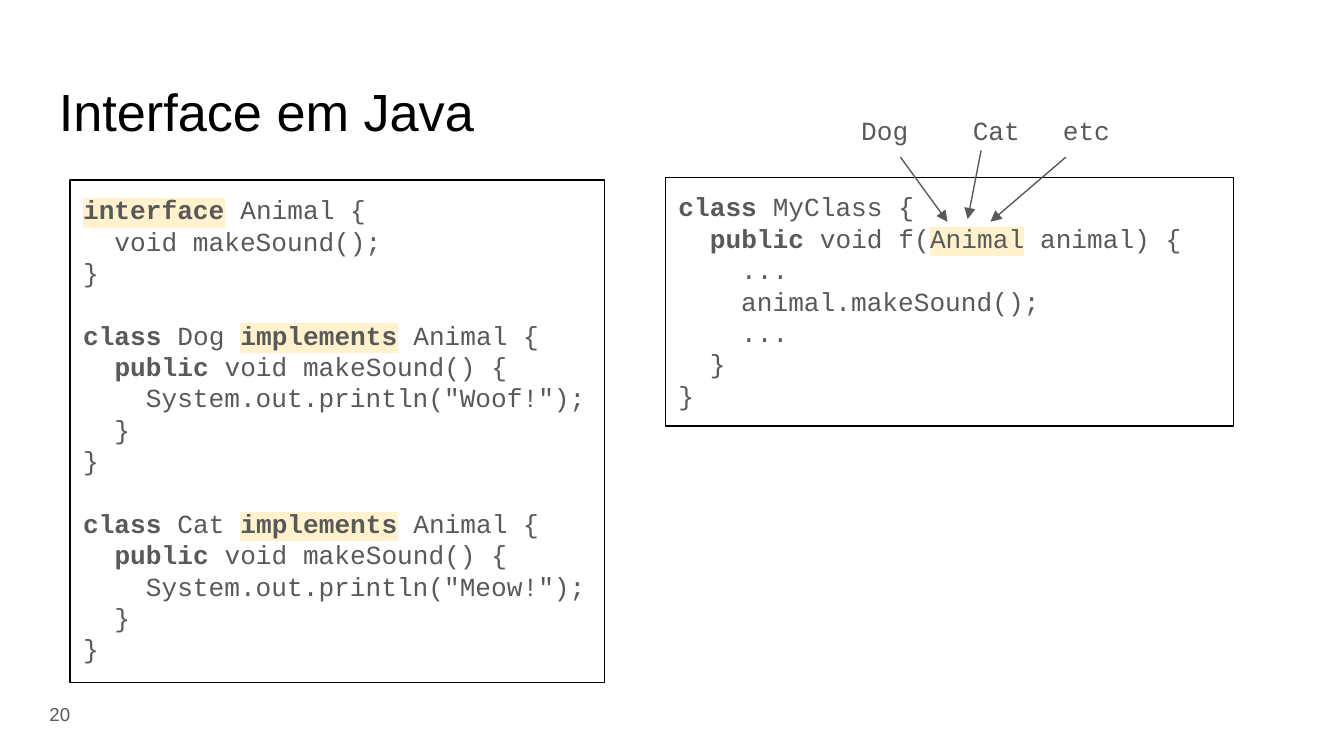
import pptx
import pptx.dml.color
import pptx.enum.shapes
import pptx.enum.text
import pptx.oxml
import pptx.oxml.ns
import pptx.util

BOLD = {"interface", "implements", "class", "public"}
MARKED = {"interface", "implements", "Animal"}
LINE_HEIGHT = 16.8

INTERFACE_CODE = """|interface| Animal {
  void makeSound();
}"""
ANIMAL_CODE = """|class| {name} |implements| Animal {
  |public| void makeSound() {
    System.out.println("{sound}");
  }
}"""
CALLER_CODE = """|class| MyClass {
  |public| void f(|Animal| animal) {
    ...
    animal.makeSound();
    ...
  }
}"""


def color(value):
    return pptx.dml.color.RGBColor.from_string(value)


def element(tag, content="", attributes=""):
    namespace = pptx.oxml.ns.nsdecls("a")
    return pptx.oxml.parse_xml(f"<a:{tag} {namespace} {attributes}>{content}</a:{tag}>")


class CodeSlide:
    text_font, code_font = "Arial", "Courier New"
    black, gray, yellow = "000000", "595959", "FFF2CC"
    cell = pptx.util.Inches(0.1)

    def __init__(self, presentation):
        self.slide = presentation.slides.add_slide(presentation.slide_layouts[6])

    def grid(self, *cells):
        return [round(count * self.cell) for count in cells]

    def prepare(self, shape):
        frame = shape.text_frame
        frame.word_wrap = True
        frame.margin_left = frame.margin_right = self.cell
        frame.margin_top = frame.margin_bottom = self.cell
        return frame

    def style(self, run, size, name, fill):
        run.font.size = pptx.util.Pt(size)
        run.font.color.rgb = color(fill)
        run.font.name = name

    def text(self, place, words, size, name, fill, align="LEFT", anchor="TOP"):
        frame = self.prepare(self.slide.shapes.add_textbox(*self.grid(*place)))
        frame.text = words
        frame.vertical_anchor = pptx.enum.text.MSO_ANCHOR[anchor]
        paragraph = frame.paragraphs[0]
        paragraph.alignment = pptx.enum.text.PP_ALIGN[align]
        self.style(paragraph.runs[0], size, name, fill)

    def code_run(self, paragraph, words):
        run = paragraph.add_run()
        run.text = words
        self.style(run, 14, self.code_font, self.gray)
        run.font.bold = words in BOLD
        if words in MARKED:
            mark = element("highlight", f'<a:srgbClr val="{self.yellow}"/>')
            properties = run.font._element
            properties.find(pptx.oxml.ns.qn("a:latin")).addprevious(mark)

    def code(self, place, *blocks):
        rectangle = pptx.enum.shapes.MSO_SHAPE.RECTANGLE
        shape = self.slide.shapes.add_shape(rectangle, *self.grid(*place))
        shape.shadow.inherit = False
        shape.fill.background()
        shape.line.color.rgb = color(self.black)
        shape.line.width = pptx.util.Pt(0.75)
        frame = self.prepare(shape)
        frame.vertical_anchor = pptx.enum.text.MSO_ANCHOR.TOP
        paragraph = None
        for block in blocks:
            for index, line in enumerate(block.splitlines()):
                gap = LINE_HEIGHT if paragraph is not None and index == 0 else 0
                paragraph = frame.paragraphs[0] if paragraph is None else frame.add_paragraph()
                paragraph.alignment = pptx.enum.text.PP_ALIGN.LEFT
                paragraph.line_spacing = pptx.util.Pt(LINE_HEIGHT)
                paragraph.space_before = pptx.util.Pt(gap)
                for words in filter(None, line.split("|")):
                    self.code_run(paragraph, words)

    def arrow(self, start, end):
        straight = pptx.enum.shapes.MSO_CONNECTOR.STRAIGHT
        connector = self.slide.shapes.add_connector(straight, *self.grid(*start, *end))
        connector.line.color.rgb = color(self.gray)
        connector.line.width = pptx.util.Pt(0.75)
        connector.line._get_or_add_ln().append(element("tailEnd", attributes='type="triangle"'))
        connector._element.spPr.append(element("effectLst"))


def main():
    presentation = pptx.Presentation()
    presentation.slide_width = pptx.util.Inches(10)
    presentation.slide_height = presentation.slide_width * 9 // 16
    page = CodeSlide(presentation)

    page.text((3.4, 4.9, 93.2, 6.3), "Interface em Java", 28, page.text_font, page.black)
    page.text((0.2, 51, 6, 4.3), "20", 10, page.text_font, page.gray, "RIGHT", "MIDDLE")

    animals = [
        ANIMAL_CODE.replace("{name}", name).replace("{sound}", sound)
        for name, sound in (("Dog", "Woof!"), ("Cat", "Meow!"))
    ]
    page.code((5.2, 13.4, 39.8, 37.4), INTERFACE_CODE, *animals)
    page.code((49.5, 13.2, 42.3, 18.5), CALLER_CODE)

    arguments = (
        ("Dog", 63.1, (67, 11.7), (70.5, 16.5)),
        ("Cat", 71.4, (73, 11.2), (72, 16.3)),
        ("etc", 78.1, (79.3, 11.7), (73.7, 16.5)),
    )
    for name, left, start, end in arguments:
        page.text((left, 7.5, 6.6, 4.4), name, 14, page.code_font, page.gray)
        page.arrow(start, end)

    presentation.save("out.pptx")


if __name__ == "__main__":
    main()
